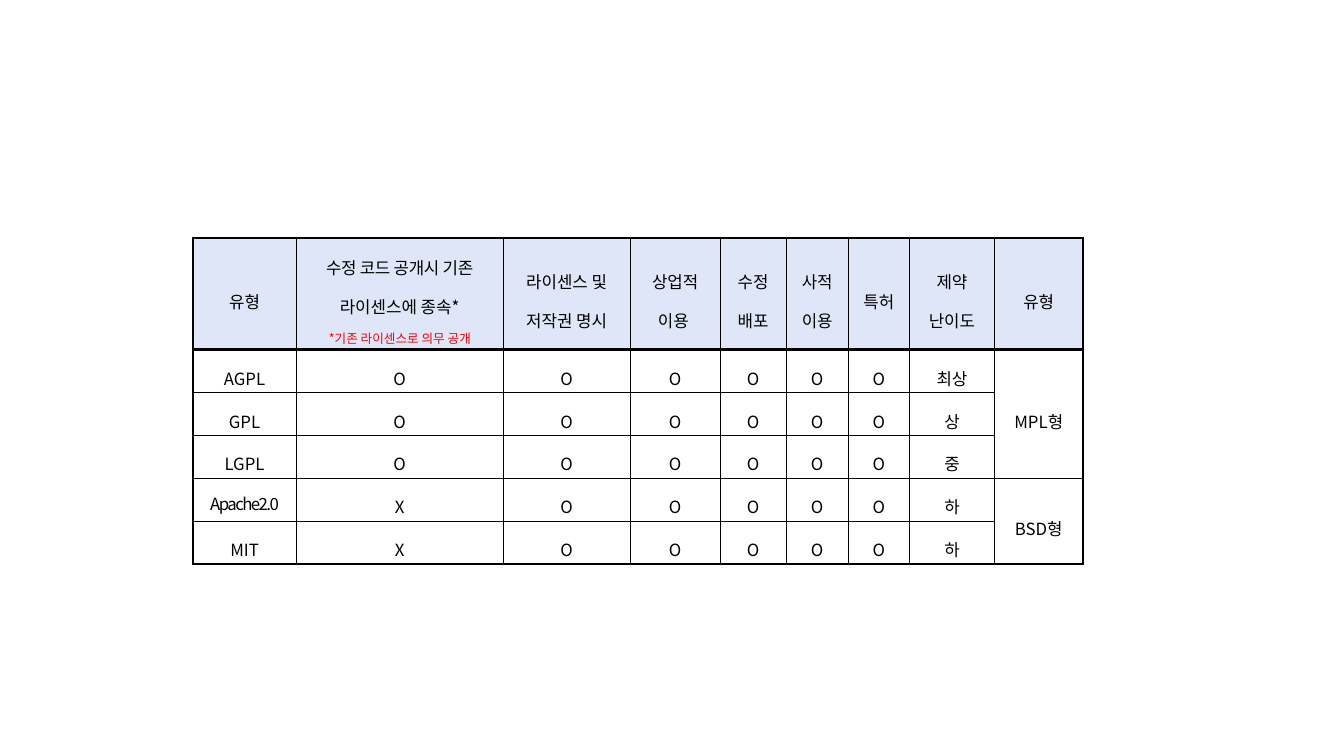
from lxml import etree
from pptx import Presentation
from pptx import util as u
from pptx.dml.color import RGBColor
from pptx.enum import text
from pptx.oxml import ns

BLACK = RGBColor(0x00, 0x00, 0x00)
RED = RGBColor(0xFF, 0x00, 0x00)
HEADER_BLUE = RGBColor(0xDF, 0xE6, 0xF7)
FONT = "Noto Sans CJK KR"

THIN, FRAME, HEADER_RULE = 0.28, 1.7, 2.55
COLUMN_WIDTHS = (74, 147.6, 91, 64, 47.5, 44, 44, 60.5, 63.5)
HEADER_HEIGHT, ROW_HEIGHT = 65, 24.5
HEADERS = (
    "유형", "수정 코드 공개시 기존\n*기존 라이센스로 의무 공개",
    "라이센스 및 저작권 명시", "상업적 이용 ", "수정\n배포", "사적\n이용",
    "특허", "제약\n난이도", "유형",
)
LICENSES = (
    ("AGPL", "O", "최상", "MPL형"),
    ("GPL", "O", "상", ""),
    ("LGPL", "O", "중", ""),
    ("Apache2.0", "X", "하", "BSD형"),
    ("MIT", "X", "하", ""),
)
FAMILY_SPANS = ((1, 3), (4, 5))


def format_span(span, size=12, color=BLACK, spacing=0):
    """Set the font of a run for Latin and Korean text."""
    span.font.size = u.Pt(size)
    span.font.color.rgb = color
    span.font.name = FONT
    properties = span._r.get_or_add_rPr()
    properties.set("spc", str(round(spacing * 100)))
    east_asian = etree.SubElement(properties, ns.qn("a:ea"))
    east_asian.set("typeface", FONT)


def format_para(para, line_spacing=1.6, **font):
    """Centre a paragraph and format its runs."""
    para.alignment = text.PP_ALIGN.CENTER
    para.line_spacing = line_spacing
    for span in para.runs:
        format_span(span, **font)


def draw_border(cell, side, width):
    """Draw one black side of a cell."""
    line = etree.SubElement(cell._tc.get_or_add_tcPr(), ns.qn(f"a:ln{side}"))
    line.set("w", str(u.Pt(width)))
    fill = etree.SubElement(line, ns.qn("a:solidFill"))
    etree.SubElement(fill, ns.qn("a:srgbClr")).set("val", str(BLACK))


def format_cell(cell, row, column, row_count, column_count):
    """Give a cell its margins, borders and fill from its place in the grid."""
    horizontal, vertical = (8, 4) if cell.is_merge_origin else (6.5, 1.4)
    cell.margin_left = cell.margin_right = u.Pt(horizontal)
    cell.margin_top = cell.margin_bottom = u.Pt(vertical)
    cell.vertical_anchor = text.MSO_ANCHOR.MIDDLE
    across = {0: FRAME, 1: HEADER_RULE, row_count: FRAME}
    down = {0: FRAME, column_count: FRAME}
    bottom = row + cell.span_height
    draw_border(cell, "L", down.get(column, THIN))
    draw_border(cell, "R", down.get(column + 1, THIN))
    draw_border(cell, "T", across.get(row, THIN))
    draw_border(cell, "B", across.get(bottom, THIN))
    if row == 0:
        cell.fill.solid()
        cell.fill.fore_color.rgb = HEADER_BLUE
    else:
        cell.fill.background()


def add_license_table(page):
    """Add the table that compares licence types."""
    marks = len(COLUMN_WIDTHS) - 4
    rows = [HEADERS] + [
        (name, bound, *"O" * marks, level, family)
        for name, bound, level, family in LICENSES
    ]
    height = HEADER_HEIGHT + ROW_HEIGHT * len(LICENSES)
    frame = page.shapes.add_table(
        len(rows), len(COLUMN_WIDTHS), u.Pt(137.7), u.Pt(170),
        u.Pt(sum(COLUMN_WIDTHS)), u.Pt(height))
    table = frame.table
    table.first_row = table.horz_banding = False
    for column, width in zip(table.columns, COLUMN_WIDTHS):
        column.width = u.Pt(width)
    for index, table_row in enumerate(table.rows):
        table_row.height = u.Pt(ROW_HEIGHT if index else HEADER_HEIGHT)
    last = len(COLUMN_WIDTHS) - 1
    for first, final in FAMILY_SPANS:
        table.cell(first, last).merge(table.cell(final, last))
    for row, words in enumerate(rows):
        for column, word in enumerate(words):
            cell = table.cell(row, column)
            format_cell(cell, row, column, len(rows), len(words))
            cell.text_frame.text = word
            for para in cell.text_frame.paragraphs:
                if para.text.startswith("*"):
                    format_para(para, size=9, color=RED)
                elif para.text == "Apache2.0":
                    format_para(para, line_spacing=1.3, spacing=-1.1)
                else:
                    format_para(para)
    return table


def finish_binding_header(cell):
    """Complete the heading on code disclosure, whose start is set tighter."""
    para = cell.text_frame.paragraphs[0]
    para.runs[0]._r.get_or_add_rPr().set("spc", "-20")
    span = para.add_run()
    span.text = " 라이센스에 종속*"
    format_span(span)


def main():
    """Build the slide and save it."""
    deck = Presentation()
    deck.slide_width, deck.slide_height = u.Pt(960), u.Pt(540)
    page = deck.slides.add_slide(deck.slide_layouts[6])
    table = add_license_table(page)
    finish_binding_header(table.cell(0, 1))
    deck.save("out.pptx")


if __name__ == "__main__":
    main()
